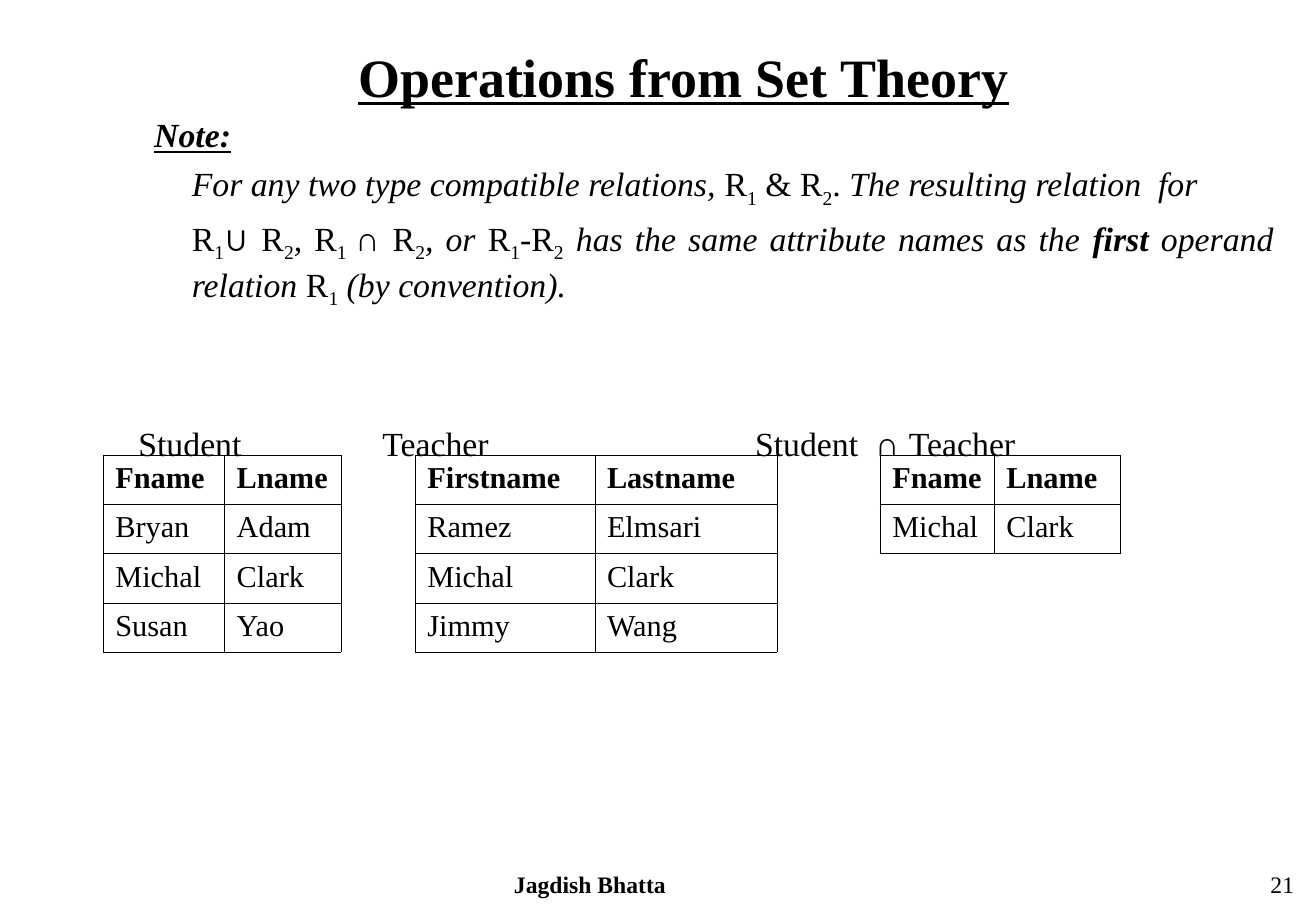
from lxml import etree
from pptx import Presentation
from pptx.dml.color import RGBColor
from pptx.enum import text
from pptx.oxml import ns
from pptx.util import Inches, Pt

SERIF, SYMBOL, BLACK = "Times New Roman", "Arial", "000000"
ROW_HEIGHT = 1.62 / 4
TABLE_TOP, CAPTION_TOP = 3.75, 3.48
LEFT, CENTER = text.PP_ALIGN.LEFT, text.PP_ALIGN.CENTER
RIGHT, JUSTIFY = text.PP_ALIGN.RIGHT, text.PP_ALIGN.JUSTIFY

# Each span is (words, style): b bold, i italic, u underlined, s subscript, a symbol font
R1 = [("R", ""), ("1", "s")]
R2 = [("R", ""), ("2", "s")]
CUP, CAP = ("∪ ", "a"), ("∩ ", "a")

TITLE = [("Operations from Set Theory", "bu")]
NOTE = [
    (0, [("Note:", "biu")]),
    (0.31, [("For any two type compatible relations, ", "i"), *R1, (" & ", ""), *R2,
            (". ", ""), ("The resulting relation  for", "i")]),
    (0.31, [*R1, CUP, *R2, (", ", "i"), *R1, (" ", "s"), CAP, *R2, (", or ", "i"),
            *R1, ("-", ""), *R2, (" has the same attribute names as the ", "i"),
            ("first", "bi"), (" operand relation ", "i"), *R1,
            (" (by convention).", "i")]),
]
# Caption, caption left, table left, column widths, rows
RELATIONS = [
    ([("Student", "")], 1.14, 0.85, (1, 0.96),
     [("Fname", "Lname"), ("Bryan", "Adam"), ("Michal", "Clark"), ("Susan", "Yao")]),
    ([("Teacher", "")], 3.15, 3.42, (1.48, 1.5),
     [("Firstname", "Lastname"), ("Ramez", "Elmsari"), ("Michal", "Clark"),
      ("Jimmy", "Wang")]),
    ([("Student  ", ""), CAP, ("Teacher", "")], 6.22, 7.25, (0.94, 1.04),
     [("Fname", "Lname"), ("Michal", "Clark")]),
]


def color(value):
    return RGBColor.from_string(value)


def set_font(font, size, bold=False):
    font.name, font.size, font.bold = SERIF, Pt(size), bold
    font.color.rgb = color(BLACK)


def add_spans(para, spans, size):
    set_font(para.font, size)
    for words, style in spans:
        span = para.add_run()
        span.text = words
        font = span.font
        set_font(font, size, "b" in style)
        font.italic = "i" in style
        font.underline = "u" in style
        if "a" in style:
            font.name = SYMBOL
        if "s" in style:
            font._element.set("baseline", "-25000")


def add_text(page, place, paras, size, align, gap=0):
    """Add a box without insets; paras is a list of (left indent, spans)."""
    box = page.shapes.add_textbox(*map(Inches, place))
    frame = box.text_frame
    frame.word_wrap = True
    frame.margin_left = frame.margin_right = frame.margin_top = frame.margin_bottom = 0
    for index, (indent, spans) in enumerate(paras):
        para = frame.add_paragraph() if index else frame.paragraphs[0]
        para.alignment = align
        para.space_before = Pt(gap if index else 0)
        para._p.get_or_add_pPr().set("marL", str(Inches(indent)))
        add_spans(para, spans, size)


def add_borders(cell):
    """Draw the four cell edges, placed before the fill as the schema asks."""
    properties = cell._tc.get_or_add_tcPr()
    for index, edge in enumerate(("lnL", "lnR", "lnT", "lnB")):
        line = etree.Element(ns.qn("a:" + edge), w=str(Pt(0.45)))
        fill = etree.SubElement(line, ns.qn("a:solidFill"))
        etree.SubElement(fill, ns.qn("a:srgbClr"), val=BLACK)
        properties.insert(index, line)


def add_relation(page, left, widths, rows):
    frame = page.shapes.add_table(
        len(rows), len(widths), Inches(left), Inches(TABLE_TOP),
        Inches(sum(widths)), Inches(ROW_HEIGHT * len(rows)))
    table = frame.table
    table.first_row = table.horz_banding = False
    for column, width in zip(table.columns, widths):
        column.width = Inches(width)
    for row_index, row in enumerate(rows):
        for column_index, words in enumerate(row):
            cell = table.cell(row_index, column_index)
            cell.fill.background()
            add_borders(cell)
            add_spans(cell.text_frame.paragraphs[0],
                      [(words, "" if row_index else "b")], 18)


def main():
    deck = Presentation()
    deck.slide_width, deck.slide_height = Inches(10.84), Inches(7.5)
    page = deck.slides.add_slide(deck.slide_layouts[6])
    add_text(page, (0.67, 0.36, 9.92, 0.52), [(0, TITLE)], 32, CENTER)
    add_text(page, (1.27, 0.94, 9.22, 1.6), NOTE, 20, JUSTIFY, gap=5)
    for caption, caption_left, left, widths, rows in RELATIONS:
        add_text(page, (caption_left, CAPTION_TOP, 2.4, 0.32), [(0, caption)], 20, LEFT)
        add_relation(page, left, widths, rows)
    add_text(page, (2.83, 7.16, 4.06, 0.23), [(0, [("Jagdish Bhatta", "b")])], 14, CENTER)
    add_text(page, (8.5, 7.16, 2.16, 0.23), [(0, [("21", "")])], 14, RIGHT)
    deck.save("out.pptx")


if __name__ == "__main__":
    main()
